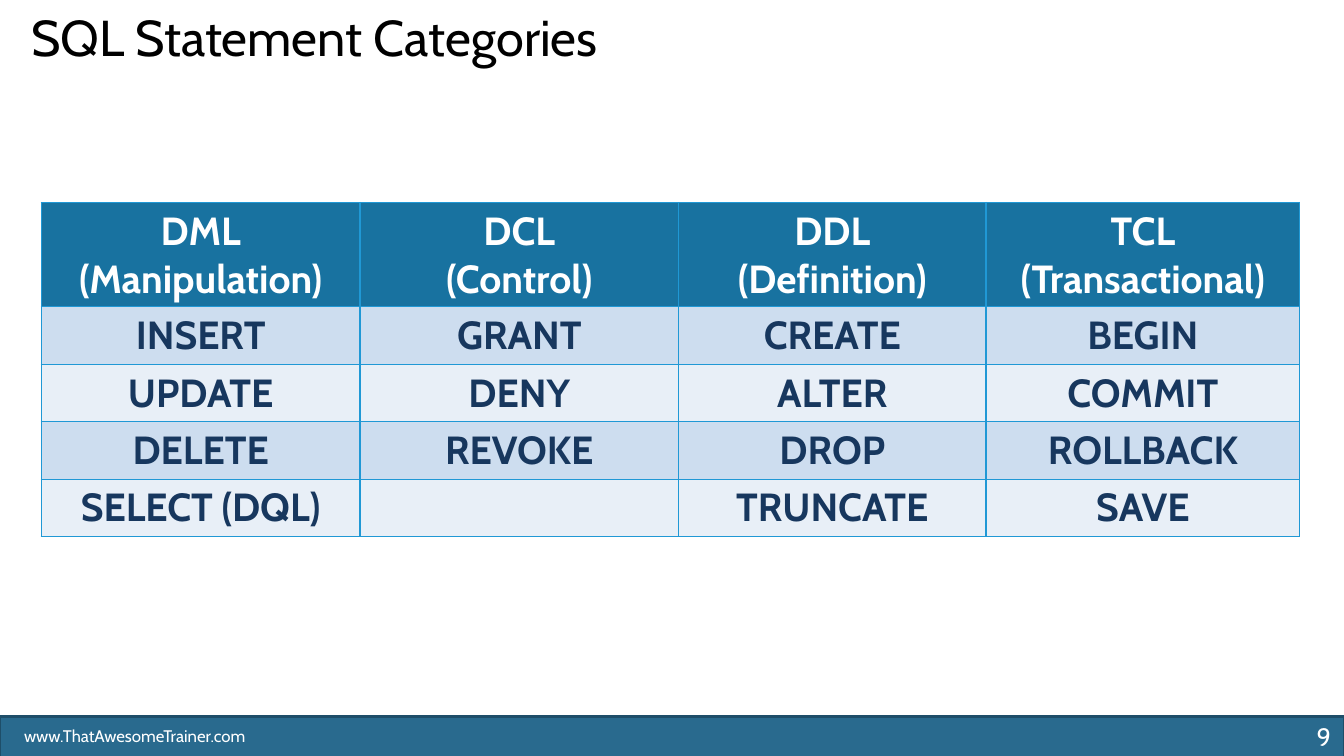
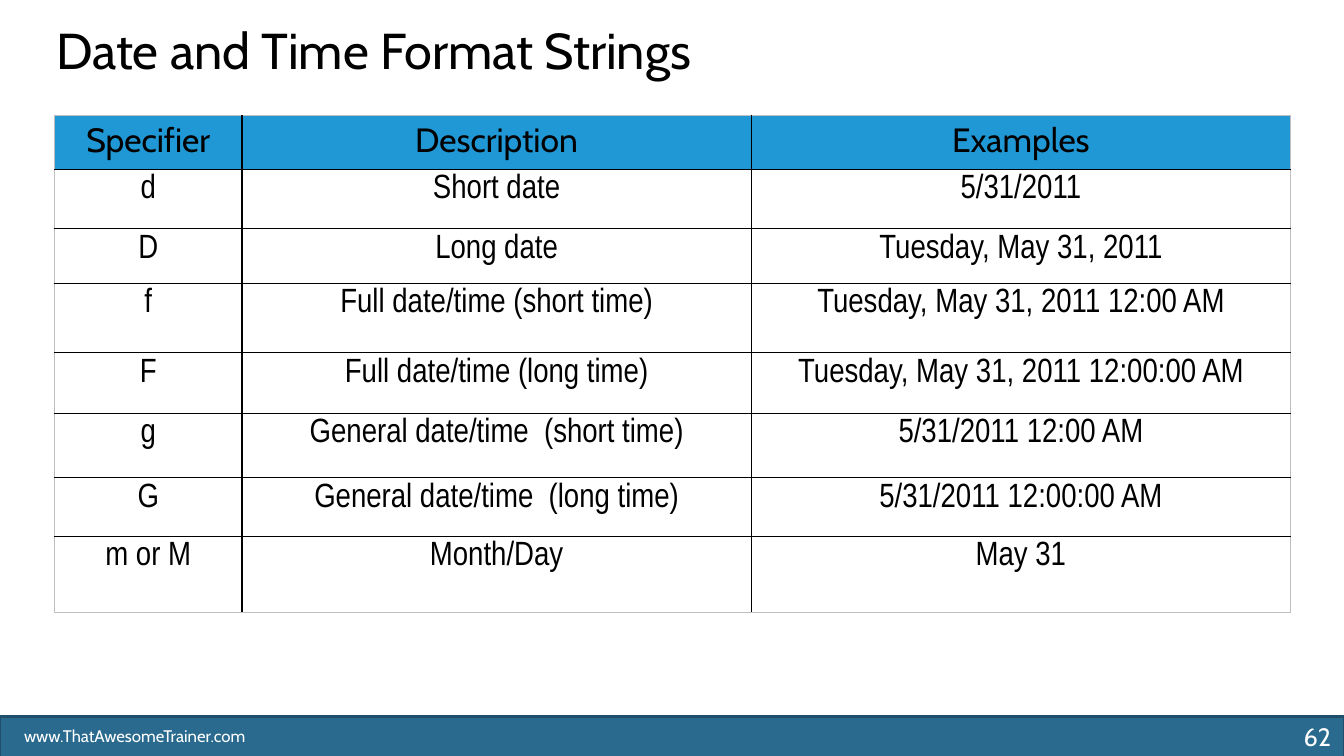
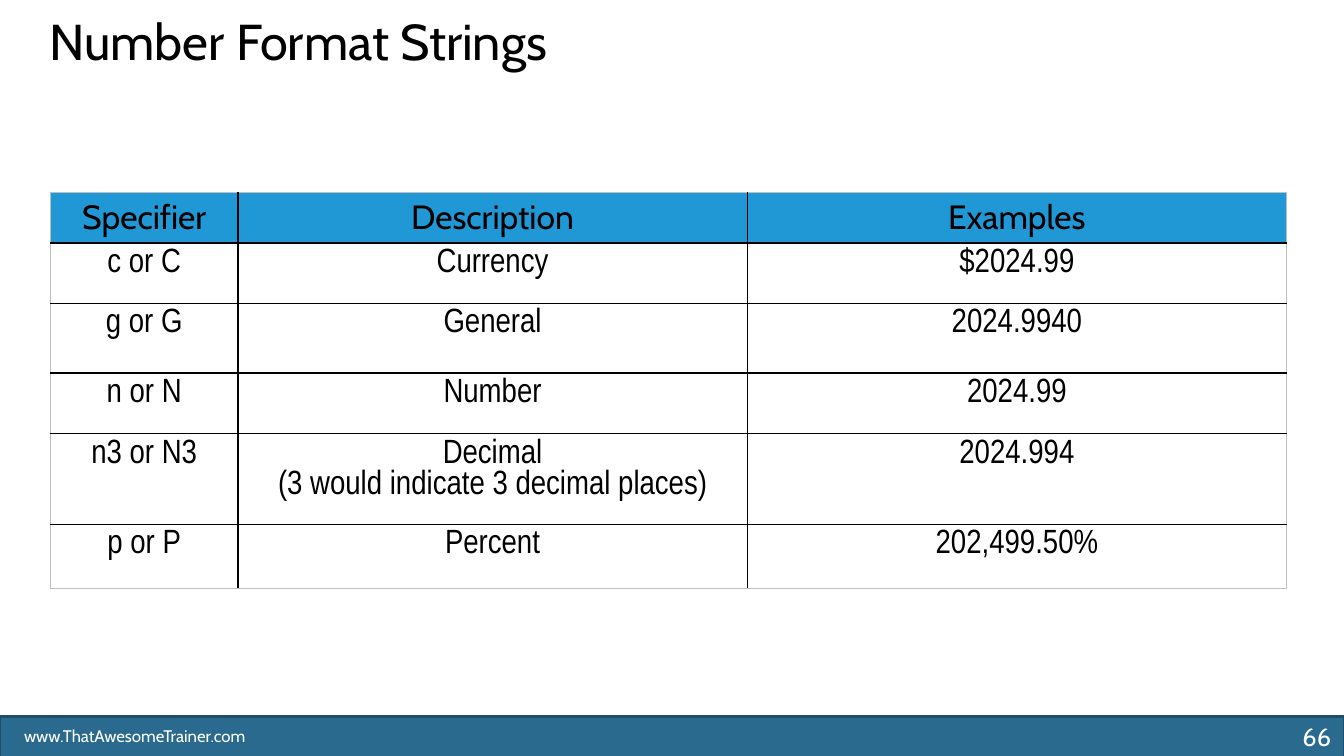
from dataclasses import dataclass

from lxml import etree
from pptx import Presentation
from pptx.dml.color import RGBColor
from pptx.enum import shapes, text
from pptx.oxml import ns
from pptx.util import Inches, Pt


@dataclass(frozen=True)
class Theme:
    font: str = "Cabin"
    narrow: str = "Arial Narrow"
    black: str = "000000"
    white: str = "FFFFFF"
    band: str = "296A8E"
    edge: str = "1E4E69"
    sky: str = "2098D5"
    head: str = "1872A0"
    navy: str = "17375E"
    rows: tuple = ("CDDDEF", "E8EFF7")
    gray: str = "BFBFBF"
    title: int = 36
    large: int = 28
    body: int = 24
    page: int = 18
    small: int = 12


T = Theme()
ALIGN = text.PP_ALIGN
WIDE, HIGH = 13.33, 7.5


# Text and cell helpers
def put(frame, words, size=T.body, font=T.font, color=T.black, bold=False,
        align=ALIGN.LEFT, lead=None):
    for i, line in enumerate(words.split("\n")):
        para = frame.add_paragraph() if i else frame.paragraphs[0]
        para.alignment = align
        if lead:
            para.line_spacing = Pt(lead)
        run = para.add_run()
        run.text = line
        run.font.size, run.font.name, run.font.bold = Pt(size), font, bold
        run.font.color.rgb = RGBColor.from_string(color)


def label(slide, box, words, **form):
    frame = slide.shapes.add_textbox(*map(Inches, box)).text_frame
    frame.word_wrap = True
    put(frame, words, **form)


def border(cell, side, color, width):
    props = cell._tc.get_or_add_tcPr()
    line = etree.SubElement(props, ns.qn("a:ln" + side), w=str(Pt(width)))
    fill = etree.SubElement(line, ns.qn("a:solidFill"))
    etree.SubElement(fill, ns.qn("a:srgbClr"), val=color)


# Table: look(row) gives a cell fill and its text format
def grid(slide, left, top, cols, highs, data, look, inner, outer, pad):
    box = map(Inches, (left, top, sum(cols), sum(highs)))
    table = slide.shapes.add_table(len(highs), len(cols), *box).table
    table.first_row = table.horz_banding = False
    for col, width in zip(table.columns, cols):
        col.width = Inches(width)
    for row, high in zip(table.rows, highs):
        row.height = Inches(high)
    for r, line in enumerate(data):
        fill, form = look(r)
        for c, words in enumerate(line):
            cell = table.cell(r, c)
            cell.margin_left = cell.margin_right = Inches(pad)
            cell.margin_top = cell.margin_bottom = Inches(0.05)
            rim = {"L": c == 0, "R": c == len(cols) - 1,
                   "T": r == 0, "B": r == len(highs) - 1}
            for side, out in rim.items():
                border(cell, side, *(outer if out else inner))
            if fill:
                cell.fill.solid()
                cell.fill.fore_color.rgb = RGBColor.from_string(fill)
            else:
                cell.fill.background()
            if words:
                put(cell.text_frame, words, align=ALIGN.CENTER, **form)


# Shared footer band and title
def footer(slide, top, page):
    band = slide.shapes.add_shape(shapes.MSO_SHAPE.RECTANGLE, 0, Inches(top),
                                  Inches(WIDE), Inches(0.4))
    band.shadow.inherit = False
    band.fill.solid()
    band.fill.fore_color.rgb = RGBColor.from_string(T.band)
    band.line.color.rgb = RGBColor.from_string(T.edge)
    band.line.width = Pt(2)
    label(slide, (0.14, top + 0.04, 2.55, 0.3), "www.ThatAwesomeTrainer.com",
          size=T.small, color=T.white)
    label(slide, (12.52, top, 0.78, 0.4), str(page), size=T.page,
          color=T.white, align=ALIGN.RIGHT)


def start(deck, title, left, top, page):
    slide = deck.slides.add_slide(deck.slide_layouts[6])
    footer(slide, 7.11, page)
    label(slide, (left, top, 12, 0.8), title, size=T.title, lead=35)
    return slide


# Table types
def groups(slide, left, top, data):
    def look(r):
        fill = T.rows[(r - 1) % 2] if r else T.head
        color = T.navy if r else T.white
        return fill, dict(size=T.large, color=color, bold=True)

    line = (T.sky, 1)
    grid(slide, left, top, (3.16, 3.16, 3.05, 3.11), [1.03] + [0.57] * 4,
         data, look, line, line, 0.1)


def formats(slide, left, top, highs, data):
    def look(r):
        return (None, dict(font=T.narrow)) if r else (T.sky, {})

    head = ("Specifier", "Description", "Examples")
    grid(slide, left, top, (1.86, 5.05, 5.35), highs, [head, *data], look,
         (T.black, 1), (T.gray, 0.5), 0.09)


SQL = [
    ("DML\n(Manipulation)", "DCL\n(Control)", "DDL\n(Definition)",
     "TCL\n(Transactional)"),
    ("INSERT", "GRANT", "CREATE", "BEGIN"),
    ("UPDATE", "DENY", "ALTER", "COMMIT"),
    ("DELETE", "REVOKE", "DROP", "ROLLBACK"),
    ("SELECT (DQL)", "", "TRUNCATE", "SAVE"),
]
DATES = [
    ("d", "Short date", "5/31/2011"),
    ("D", "Long date", "Tuesday, May 31, 2011"),
    ("f", "Full date/time (short time)", "Tuesday, May 31, 2011 12:00 AM"),
    ("F", "Full date/time (long time)", "Tuesday, May 31, 2011 12:00:00 AM"),
    ("g", "General date/time  (short time)", "5/31/2011 12:00 AM"),
    ("G", "General date/time  (long time)", "5/31/2011 12:00:00 AM"),
    ("m or M", "Month/Day", "May 31"),
]
NUMBERS = [
    ("c or C", "Currency", "$2024.99"),
    ("g or G", "General", "2024.9940"),
    ("n or N", "Number", "2024.99"),
    ("n3 or N3", "Decimal\n(3 would indicate 3 decimal places)", "2024.994"),
    ("p or P", "Percent", "202,499.50%"),
]


def main():
    deck = Presentation()
    deck.slide_width, deck.slide_height = Inches(WIDE), Inches(HIGH)

    slide = start(deck, "SQL Statement Categories", 0.21, 0.13, 9)
    groups(slide, 0.41, 2.01, SQL)

    slide = start(deck, "Date and Time Format Strings", 0.46, 0.25, 62)
    formats(slide, 0.54, 1.14,
            (0.54, 0.59, 0.54, 0.69, 0.6, 0.64, 0.58, 0.76), DATES)

    slide = start(deck, "Number Format Strings", 0.39, 0.17, 66)
    formats(slide, 0.5, 1.91, (0.48, 0.6, 0.69, 0.6, 0.89, 0.64), NUMBERS)

    deck.save("out.pptx")


if __name__ == "__main__":
    main()
